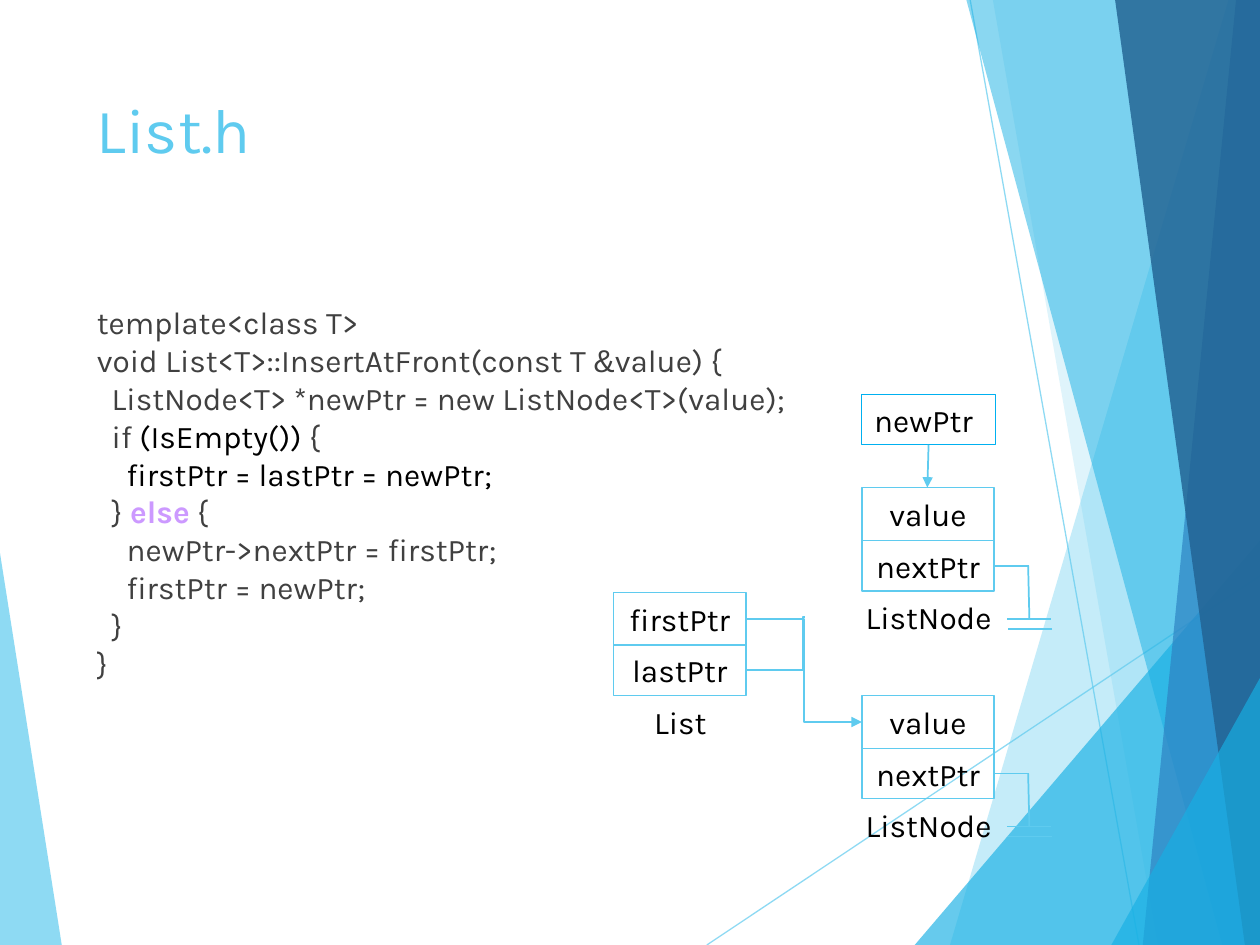
from lxml import etree
from pptx import Presentation
from pptx.dml.color import RGBColor
from pptx.enum.shapes import MSO_CONNECTOR, MSO_SHAPE
from pptx.enum.text import MSO_ANCHOR, PP_ALIGN
from pptx.oxml.ns import qn
from pptx.util import Inches, Pt

COLORS = {
    "sky": "5FCBEF", "cyan": "17B0E4", "blue": "2E83C3", "navy": "226292",
    "pointer": "00B0F0", "code": "404040", "black": "000000", "keyword": "CC99FF",
}


class Deck:
    font = "Karla"

    def __init__(self, width, height):
        self.prs = Presentation()
        self.prs.slide_width, self.prs.slide_height = Inches(width), Inches(height)
        self.slide = self.prs.slides.add_slide(self.prs.slide_layouts[6])

    def color(self, name):
        return RGBColor.from_string(COLORS[name])

    def fade(self, fill_parent, opacity):
        color = fill_parent.find(qn("a:solidFill"))[0]
        etree.SubElement(color, qn("a:alpha"), val=str(opacity * 1000))

    def facet(self, points, color, opacity):
        start, *rest = [(Inches(x), Inches(y)) for x, y in points]
        builder = self.slide.shapes.build_freeform(*start)
        builder.add_line_segments(rest, close=True)
        shape = builder.convert_to_shape()
        shape.shadow.inherit = False
        shape.fill.solid()
        shape.fill.fore_color.rgb = self.color(color)
        shape.line.fill.background()
        self.fade(shape._element.spPr, opacity)

    def line(self, start, end, width=1, opacity=None, arrow=False, bend=None):
        kind = MSO_CONNECTOR.STRAIGHT if bend is None else MSO_CONNECTOR.ELBOW
        connector = self.slide.shapes.add_connector(
            kind, *(Inches(v) for v in (*start, *end)))
        connector.line.color.rgb = self.color("sky")
        connector.line.width = Pt(width)
        properties = connector._element.spPr
        outline = properties.find(qn("a:ln"))
        if opacity:
            self.fade(outline, opacity)
        if arrow:
            etree.SubElement(outline, qn("a:tailEnd"), type="triangle")
        if bend is not None:
            guides = properties.find(qn("a:prstGeom")).get_or_add_avLst()
            etree.SubElement(guides, qn("a:gd"), name="adj1",
                             fmla=f"val {round(bend * 100000)}")
        etree.SubElement(properties, qn("a:effectLst"))

    def fill_frame(self, frame, lines, size=18, align=PP_ALIGN.LEFT,
                   anchor=MSO_ANCHOR.TOP):
        """Each line is a list of (text, color[, font]) runs."""
        frame.word_wrap = True
        frame.vertical_anchor = anchor
        for number, runs in enumerate(lines):
            paragraph = frame.add_paragraph() if number else frame.paragraphs[0]
            paragraph.alignment = align
            for text, color, *font in runs:
                run = paragraph.add_run()
                run.text = text
                run.font.size = Pt(size)
                run.font.name = font[0] if font else self.font
                run.font.color.rgb = self.color(color)
                run.font.bold = color == "keyword"

    def text(self, x, y, w, h, lines, **style):
        box = self.slide.shapes.add_textbox(*(Inches(v) for v in (x, y, w, h)))
        self.fill_frame(box.text_frame, lines, **style)

    def cell(self, x, y, w, h, label, border="sky", align=PP_ALIGN.CENTER):
        shape = self.slide.shapes.add_shape(
            MSO_SHAPE.RECTANGLE, *(Inches(v) for v in (x, y, w, h)))
        shape.shadow.inherit = False
        shape.fill.background()
        shape.line.color.rgb = self.color(border)
        shape.line.width = Pt(0.75)
        self.fill_frame(shape.text_frame, [[(label, "black")]], align=align,
                        anchor=MSO_ANCHOR.MIDDLE)

    def record(self, x, y, fields, caption):
        """Two stacked fields with the type name below."""
        self.cell(x, y, 1.05, 0.42, fields[0])
        self.cell(x, y + 0.42, 1.05, 0.4, fields[1])
        self.text(x - 0.08, y + 0.83, 1.22, 0.4, [[(caption, "black")]],
                  align=PP_ALIGN.CENTER)

    def list_node(self, x, y):
        """A record whose nextPtr runs to a null symbol."""
        self.record(x, y, ("value", "nextPtr"), "ListNode")
        wire, ground = y + 0.62, y + 1.04
        self.line((x + 1.06, wire), (x + 1.33, wire))
        self.line((x + 1.5, ground), (x + 1.15, ground))
        self.line((x + 1.51, ground + 0.08), (x + 1.16, ground + 0.08))
        self.line((x + 1.32, wire), (x + 1.33, ground))


def main():
    deck = Deck(10, 7.5)

    # Background facets
    deck.facet([(0, 4.39), (0.49, 7.5), (0, 7.5)], "sky", 70)
    for start, end in (((5.61, 7.5), (10, 4.57)), ((7.7, 0), (9.04, 7.5))):
        deck.line(start, end, width=0.75, opacity=70)
    facets = [  # top left x, bottom left x, color, opacity
        (9.75, 7.54, "sky", 36), (7.88, 9.19, "sky", 20), (None, 7.26, "cyan", 66),
        (7.67, 9.7, "cyan", 50), (9.81, 9.07, "blue", 70), (8.85, 9.88, "navy", 82),
    ]
    for top, bottom, color, opacity in facets:
        upper = [(10, 4.29)] if top is None else [(10, 0), (top, 0)]
        deck.facet([*upper, (bottom, 7.5), (10, 7.5)], color, opacity)
    deck.facet([(8.82, 7.5), (10, 5.38), (10, 7.5)], "cyan", 66)

    # Title and code
    deck.text(0.67, 0.67, 6.94, 1.44, [[("List.h", "sky")]], size=36)
    deck.text(0.67, 2.36, 6.94, 4.24, [
        [("template<class T>", "code")],
        [("void List<T>::InsertAtFront(const T ", "code"), ("&", "code", "Arial"),
         ("value) {", "code")],
        [("  ListNode<T> *newPtr = new ListNode<T>(value);", "code")],
        [("  if ", "code"), ("(IsEmpty()) ", "black"), ("{", "code")],
        [("    ", "code"), ("firstPtr = lastPtr = newPtr;", "black")],
        [("  } ", "code"), ("else", "keyword"), (" {", "code")],
        [("    newPtr->nextPtr = firstPtr;", "code")],
        [("    firstPtr = newPtr;", "code")],
        [("  }", "code")],
        [("}", "code")],
    ])

    # List object and its pointers
    deck.record(4.87, 4.7, ("firstPtr", "lastPtr"), "List")
    deck.line((5.92, 4.91), (6.84, 5.73), arrow=True, bend=0.5)
    deck.line((5.92, 5.32), (6.39, 4.9), bend=0.96)

    # New node and existing node
    for top in (3.87, 5.52):
        deck.list_node(6.84, top)
    deck.cell(6.84, 3.13, 1.06, 0.4, "newPtr", border="pointer", align=PP_ALIGN.LEFT)
    deck.line((7.37, 3.53), (7.36, 3.87), arrow=True)

    deck.prs.save("out.pptx")


if __name__ == "__main__":
    main()
